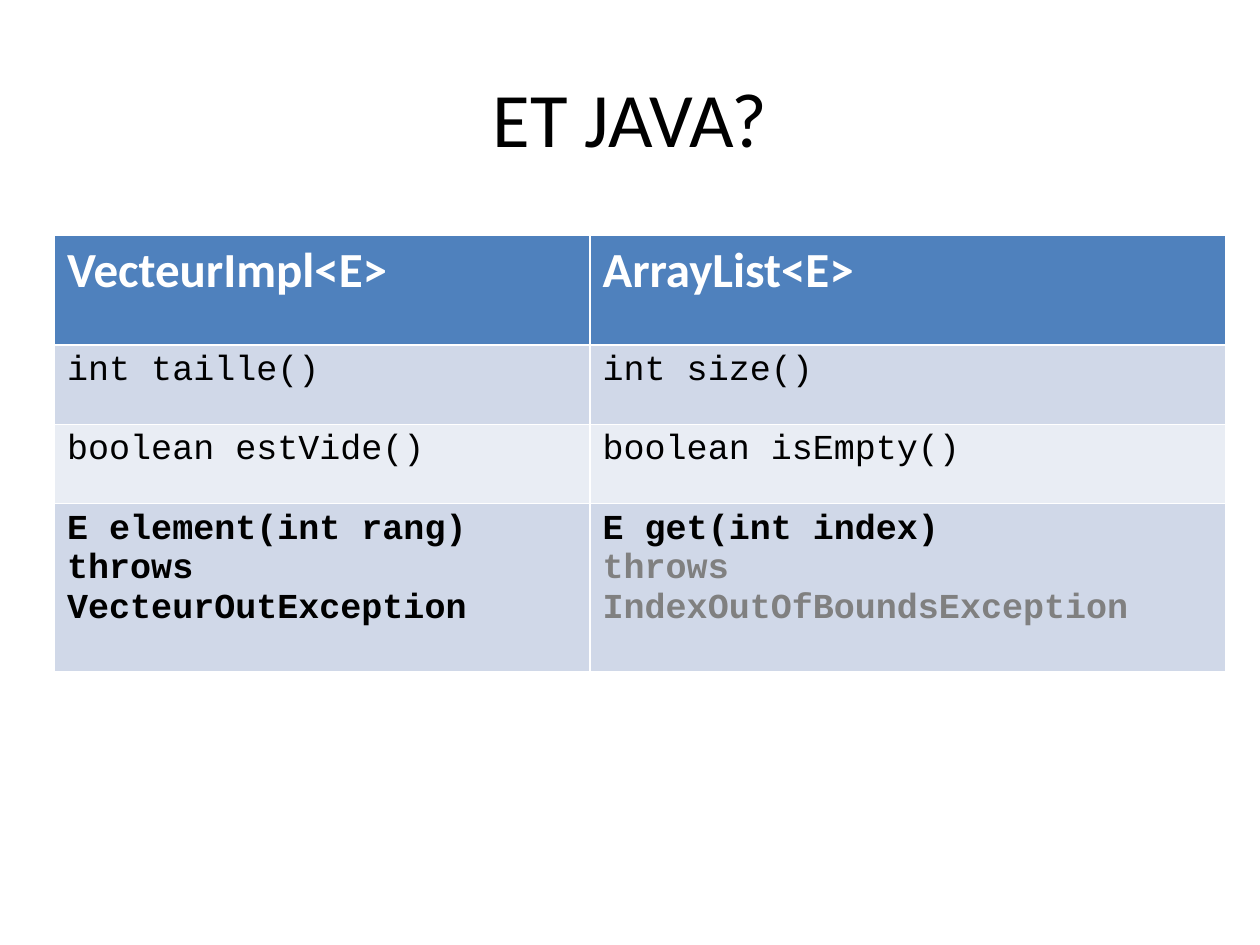
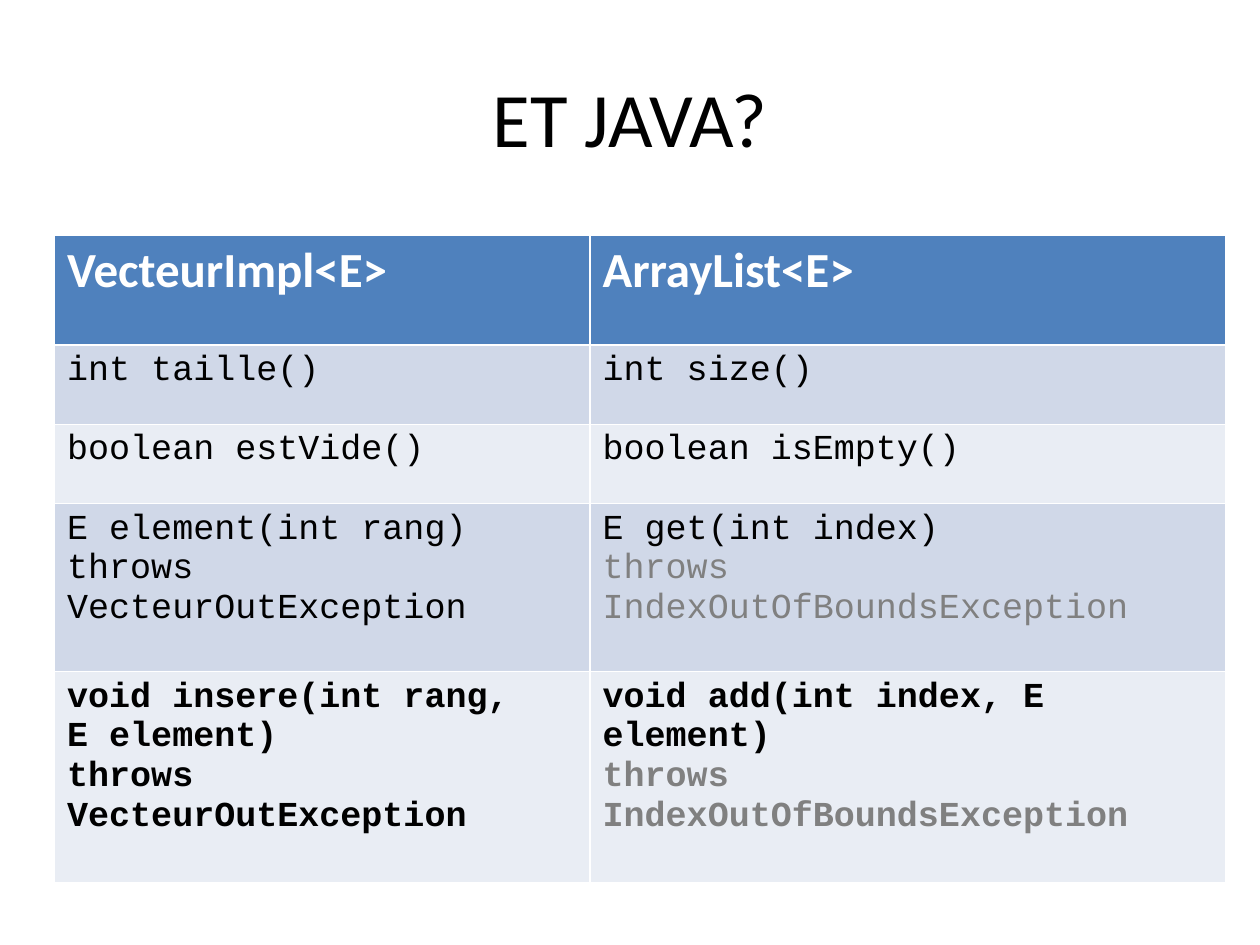
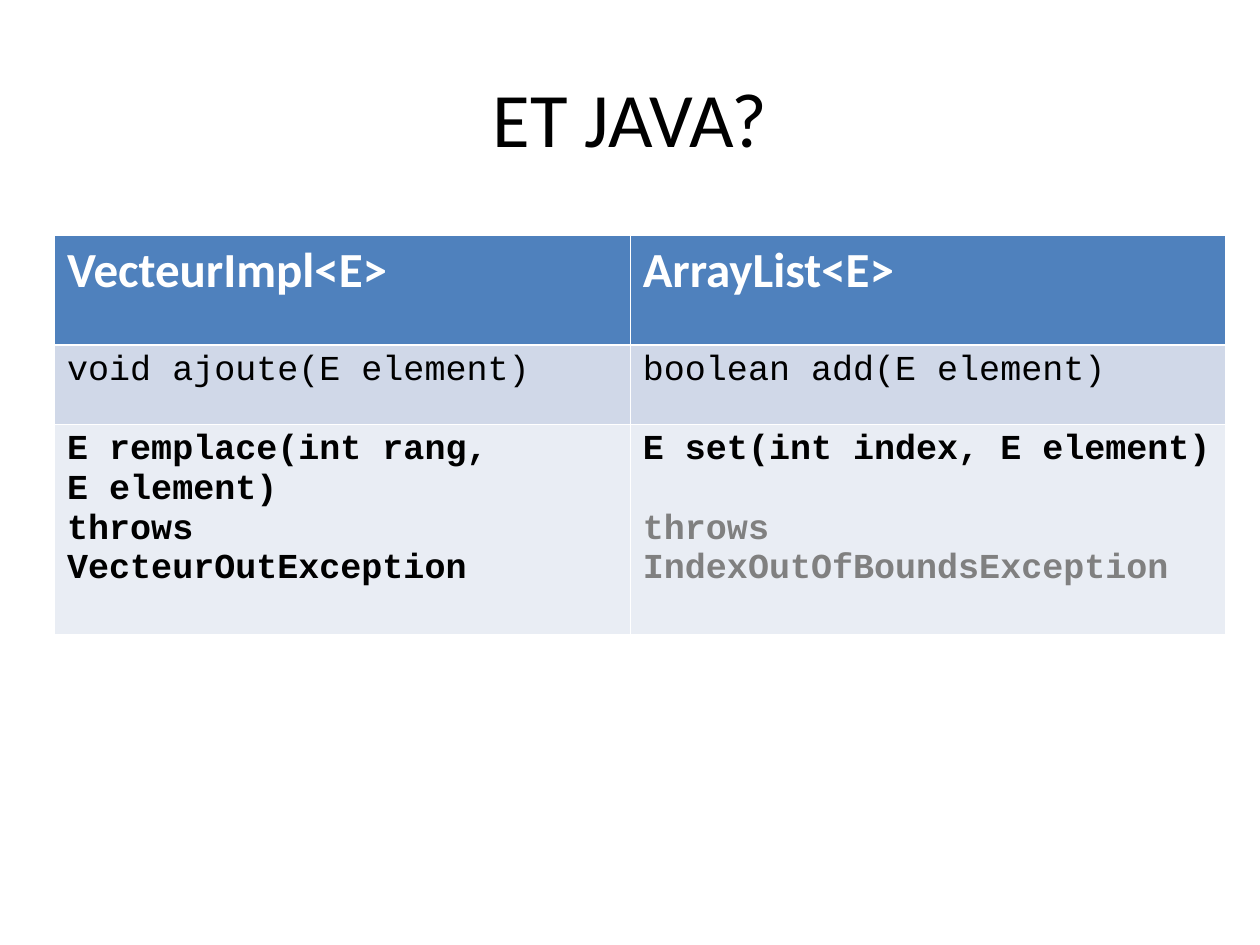
from pptx import Presentation
from pptx.dml.color import RGBColor as RGB
from pptx.enum.text import MSO_ANCHOR as Anchor, PP_ALIGN as Align
from pptx.util import Pt

TITLE = "ET JAVA?"
HEADS = ("VecteurImpl<E>", "ArrayList<E>")
OUT = "throws IndexOutOfBoundsException"

# Each row: height, left paragraphs, right paragraphs
SIZE = (45.36, ["int taille()"], ["int size()"])
EMPTY = (45.36, ["boolean estVide()"], ["boolean isEmpty()"])
GET = (
    96,
    ["E element(int rang) throws VecteurOutException"],
    ["E get(int index)", OUT],
)
INSERT = (
    120.5,
    ["void insere(int rang,", "E element)", "throws VecteurOutException"],
    ["void add(int index, E element)", OUT],
)
APPEND = (45.36, ["void ajoute(E element)"], ["boolean add(E element)"])
SET = (
    120.5,
    ["E remplace(int rang,", "E element)", "throws", "VecteurOutException"],
    ["E set(int index, E element)", OUT],
)

# Each slide: left column width, rows; the last row is the new one, in bold
SLIDES = [
    (306, [SIZE, EMPTY, GET]),
    (306, [SIZE, EMPTY, GET, INSERT]),
    (329, [APPEND, SET]),
]

LEFT, TOP, WIDTH, HEAD_H = 31.18, 134.15, 669, 63
LINE = 22.7
SANS, MONO = "Calibri", "Courier New"
BLACK, WHITE, GREY, BLUE = "000000", "FFFFFF", "808080", "4F81BD"
BANDS = ("D0D8E8", "E9EDF4")


def style(para, font, size, color, bold=False):
    for run in para.runs:
        run.font.name = font
        run.font.size = Pt(size)
        run.font.bold = bold
        run.font.color.rgb = RGB.from_string(color)


def paint(cell, color):
    cell.fill.solid()
    cell.fill.fore_color.rgb = RGB.from_string(color)


def add_title(slide):
    title = slide.shapes.title
    title.left, title.top = Pt(36), Pt(21.6)
    title.width, title.height = Pt(648), Pt(90)
    frame = title.text_frame
    frame.text = TITLE
    frame.vertical_anchor = Anchor.MIDDLE
    para = frame.paragraphs[0]
    para.alignment = Align.CENTER
    style(para, SANS, 44, BLACK)


def fill_code(cell, lines, bold):
    """Write code lines, with the exceptions of the library in grey."""
    cell.text_frame.text = "\n".join(lines)
    for para in cell.text_frame.paragraphs:
        style(para, MONO, 20, GREY if para.text == OUT else BLACK, bold)


def add_grid(slide, split, rows):
    high = HEAD_H + sum(row[0] for row in rows)
    grid = slide.shapes.add_table(
        len(rows) + 1, 2, Pt(LEFT), Pt(TOP), Pt(WIDTH), Pt(high)
    ).table
    grid.columns[0].width = Pt(split)
    grid.columns[1].width = Pt(WIDTH - split)
    grid.rows[0].height = Pt(HEAD_H)
    for col, head in enumerate(HEADS):
        cell = grid.cell(0, col)
        cell.text_frame.text = head
        style(cell.text_frame.paragraphs[0], SANS, 28, WHITE, True)
        paint(cell, BLUE)
    for num, (tall, *pair) in enumerate(rows, 1):
        grid.rows[num].height = Pt(tall)
        for col, lines in enumerate(pair):
            cell = grid.cell(num, col)
            fill_code(cell, lines, num == len(rows))
            paint(cell, BANDS[(num - 1) % 2])
    return grid


def main():
    deck = Presentation()
    deck.slide_width, deck.slide_height = Pt(720), Pt(540)
    for split, rows in SLIDES:
        slide = deck.slides.add_slide(deck.slide_layouts[5])
        add_title(slide)
        grid = add_grid(slide, split, rows)
        if rows[-1] is SET:
            last = grid.cell(len(rows), 1).text_frame.paragraphs[-1]
            last.space_before = Pt(LINE)
    deck.save("out.pptx")


if __name__ == "__main__":
    main()
